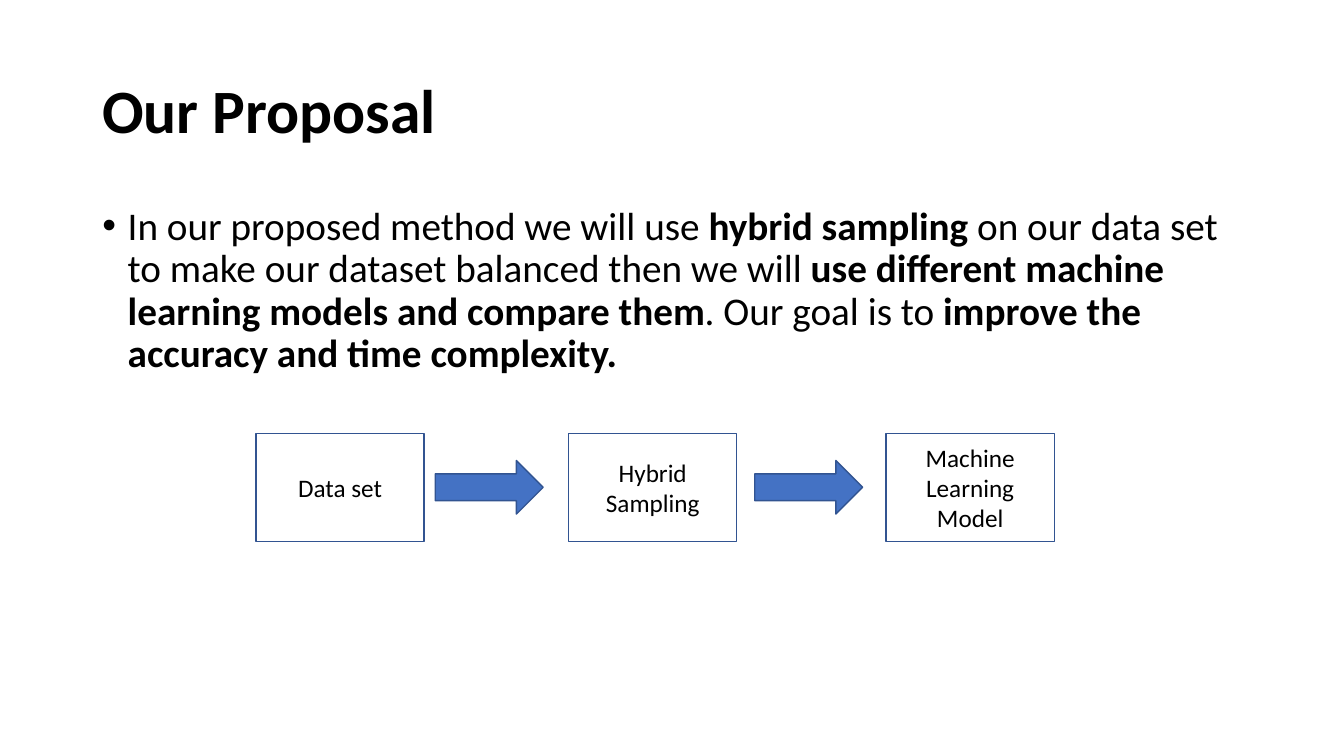
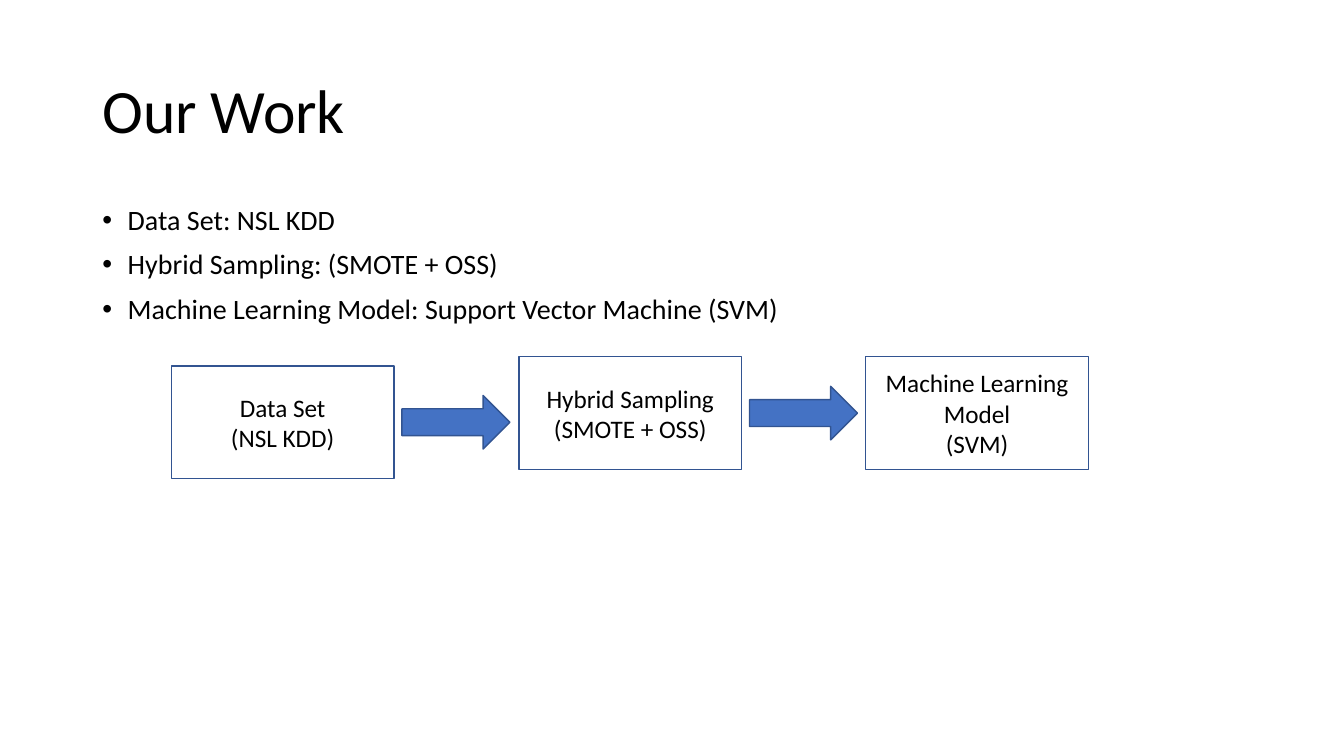
from dataclasses import dataclass

from lxml.etree import SubElement
from pptx import Presentation
from pptx.dml.color import RGBColor as Color
from pptx.enum.shapes import MSO_SHAPE as Shape
from pptx.enum.text import MSO_ANCHOR as Anchor, PP_ALIGN as Align
from pptx.oxml.ns import qn
from pptx.util import Cm, Pt


@dataclass(frozen=True)
class Theme:
    """Colours, type sizes and font shared by all slides."""
    font: str = "Calibri"
    ink: str = "000000"
    paper: str = "FFFFFF"
    accent: str = "4472C4"
    outline: str = "325491"
    title_size: int = 44
    lead_size: int = 28
    list_size: int = 20
    box_size: int = 18


THEME = Theme()
MARGIN, CONTENT_WIDTH = 2.33, 29.21
ARROW_WIDTH, ARROW_HEIGHT = 2.72, 1.35


def add_bullet(para, indent=0.64):
    """Give a paragraph a round bullet with a hanging indent."""
    props = para._p.get_or_add_pPr()
    props.set("marL", str(Cm(indent)))
    props.set("indent", str(-Cm(indent)))
    SubElement(props, qn("a:buFont"), typeface="Arial")
    SubElement(props, qn("a:buChar"), char="•")


def write(frame, lines, *, size, bold=False, align=Align.LEFT,
          anchor=Anchor.TOP, spacing=1.0, before=0, bullet=False):
    """Write one paragraph per line; ** switches bold on and off."""
    frame.word_wrap = True
    frame.vertical_anchor = anchor
    for index, line in enumerate(lines):
        para = frame.add_paragraph() if index else frame.paragraphs[0]
        para.alignment = align
        para.line_spacing = spacing
        para.space_before = Pt(before)
        if bullet:
            add_bullet(para)
        for part, text in enumerate(line.split("**")):
            if text:
                span = para.add_run()
                span.text = text
                span.font.name = THEME.font
                span.font.size = Pt(size)
                span.font.bold = bold or part % 2 == 1
                span.font.color.rgb = Color.from_string(THEME.ink)


class SlideBuilder:
    """Holds the deck, its theme and the current page."""

    def __init__(self):
        """Start an empty widescreen deck."""
        self.deck = Presentation()
        self.deck.slide_width, self.deck.slide_height = Cm(33.87), Cm(19.05)
        self.page = None

    def new_page(self, title, bold=False):
        """Add a blank page with its title."""
        self.page = self.deck.slides.add_slide(self.deck.slide_layouts[6])
        self.text(1.02, 3.68, [title], size=THEME.title_size, bold=bold,
                  anchor=Anchor.MIDDLE)

    def text(self, top, height, lines, **style):
        """Add a text box across the content width."""
        box = self.page.shapes.add_textbox(
            Cm(MARGIN), Cm(top), Cm(CONTENT_WIDTH), Cm(height))
        write(box.text_frame, lines, spacing=0.9, **style)

    def bullets(self, lines, size):
        """Add the bulleted body text."""
        self.text(5.08, 12.09, lines, size=size, before=10, bullet=True)

    def shape(self, kind, left, top, width, height, fill):
        """Add an outlined preset shape."""
        shape = self.page.shapes.add_shape(
            kind, Cm(left), Cm(top), Cm(width), Cm(height))
        shape.shadow.inherit = False
        shape.fill.solid()
        shape.fill.fore_color.rgb = Color.from_string(fill)
        shape.line.color.rgb = Color.from_string(THEME.outline)
        shape.line.width = Pt(1)
        return shape

    def flow(self, width, height, steps):
        """Draw steps (left, top, gap, lines); a gap puts an arrow after one."""
        for left, top, gap, lines in steps:
            box = self.shape(Shape.RECTANGLE, left, top, width, height, THEME.paper)
            write(box.text_frame, lines, size=THEME.box_size,
                  align=Align.CENTER, anchor=Anchor.MIDDLE)
            if gap is not None:
                self.shape(Shape.RIGHT_ARROW, left + width + gap,
                           top + (height - ARROW_HEIGHT) / 2,
                           ARROW_WIDTH, ARROW_HEIGHT, THEME.accent)


def build_proposal(builder):
    """Build the proposal slide."""
    builder.new_page("Our Proposal", bold=True)
    builder.bullets([
        "In our proposed method we will use **hybrid sampling **on our data set "
        "to make our dataset balanced then we will **use different machine "
        "learning models and compare them**. Our goal is to **improve the "
        "accuracy and time complexity.**"], THEME.lead_size)
    builder.flow(4.24, 2.72, [
        (6.45, 10.92, 0.28, ["Data set"]),
        (14.33, 10.92, 0.45, ["Hybrid Sampling"]),
        (22.33, 10.92, None, ["Machine Learning Model"])])


def build_work(builder):
    """Build the slide on the work done."""
    builder.new_page("Our Work")
    builder.bullets([
        "Data Set: NSL KDD",
        "Hybrid Sampling: (SMOTE + OSS)",
        "Machine Learning Model: Support Vector Machine (SVM)"], THEME.list_size)
    builder.flow(5.61, 2.84, [
        (4.32, 9.22, 0.2, ["Data Set", "(NSL KDD)"]),
        (13.08, 8.99, 0.2, ["Hybrid Sampling", "(SMOTE + OSS)"]),
        (21.82, 8.99, None, ["Machine Learning Model", "(SVM)"])])


def main():
    """Build and save the deck."""
    builder = SlideBuilder()
    build_proposal(builder)
    build_work(builder)
    builder.deck.save("out.pptx")


main()
